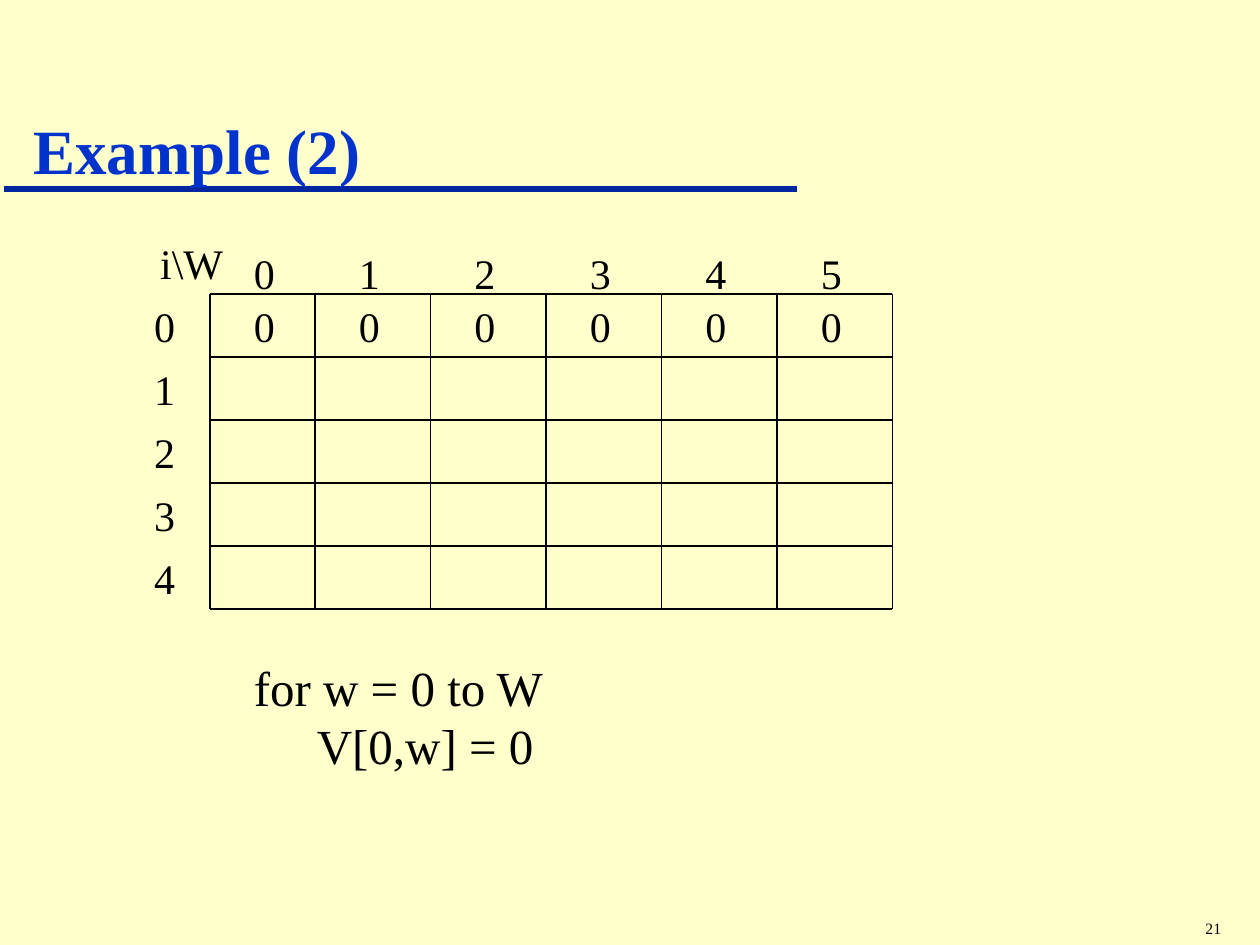
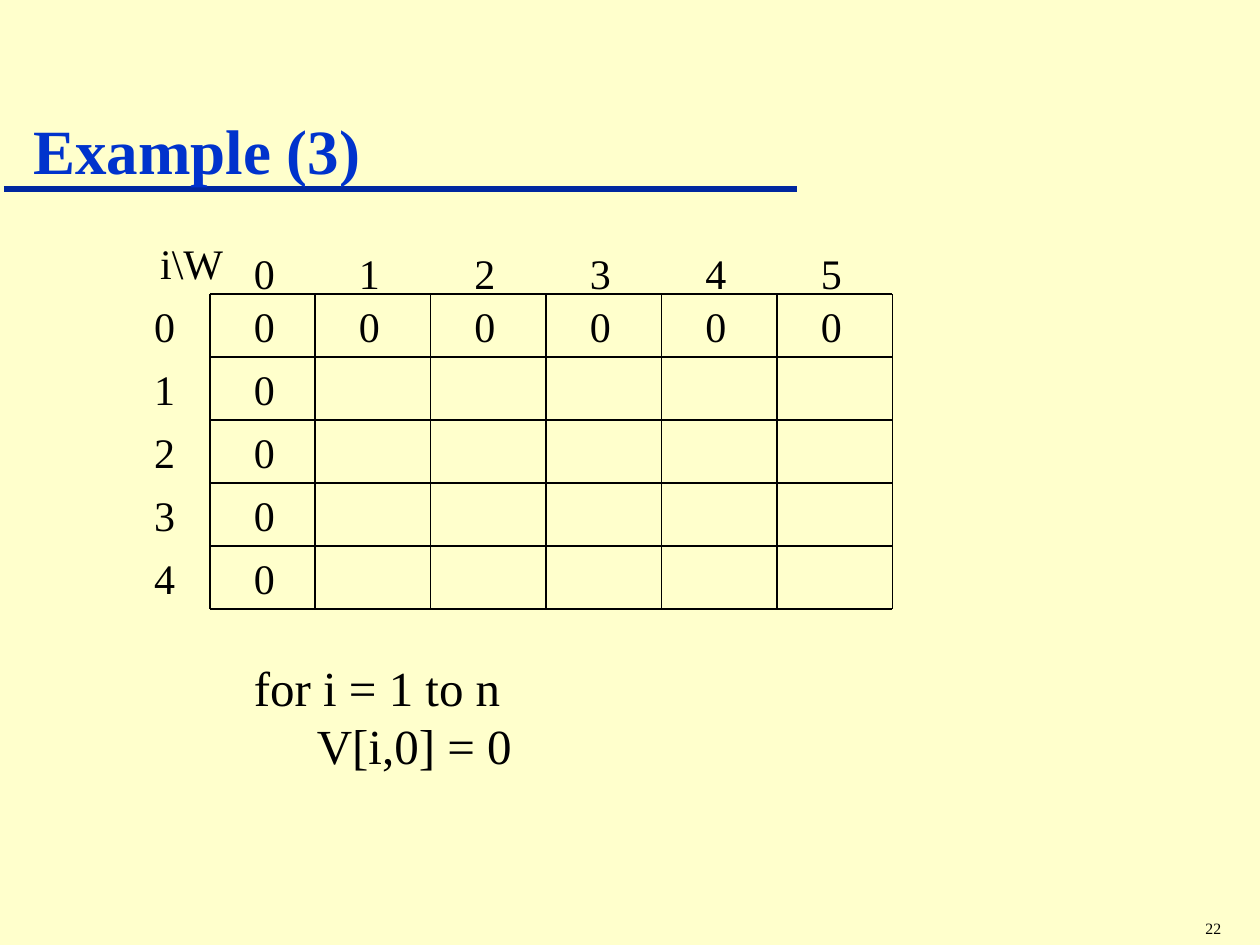
from pptx import Presentation
from pptx.dml.color import RGBColor
from pptx.enum.shapes import MSO_CONNECTOR
from pptx.enum.text import MSO_ANCHOR, MSO_AUTO_SIZE, PP_ALIGN
from pptx.oxml.ns import qn
from pptx.util import Pt
from lxml import etree

STRAIGHT = MSO_CONNECTOR.STRAIGHT
BOTTOM = MSO_ANCHOR.BOTTOM
NO_FIT = MSO_AUTO_SIZE.NONE
GROW = MSO_AUTO_SIZE.SHAPE_TO_FIT_TEXT
CENTER = PP_ALIGN.CENTER

PX = 9525  # 96 px to the inch
FONT = "Times New Roman"
CREAM, BLACK, TITLE_BLUE, RULE_BLUE = "FFFFCC", "000000", "0033CC", "00279F"

COLUMN_LINES = [160] + [240 + 88 * step for step in range(6)]
ROW_LINES = [224 + 48 * step for step in range(6)]
CELL_INDENT = 24
CELL_WIDTH, CELL_HEIGHT = 35, 48
ROW_LABEL_LEFT, COLUMN_LABEL_TOP = 108, 184


def add_text(page, frame, lines, size, color=BLACK, bold=False, wrap=False):
    """Add a text box at frame (left, top, width, height in px), one paragraph a line."""
    box = page.shapes.add_textbox(*(length * PX for length in frame))
    text = box.text_frame
    text.word_wrap = wrap
    text.auto_size = GROW
    for index, line in enumerate(lines):
        para = text.add_paragraph() if index else text.paragraphs[0]
        span = para.add_run()
        span.text = line
        span.font.name = FONT
        span.font.size = Pt(size)
        span.font.bold = bold
        span.font.color.rgb = RGBColor.from_string(color)
    return text


def add_line(page, ends, color, weight):
    """Draw a straight line; ends is (x1, y1, x2, y2) in px."""
    line = page.shapes.add_connector(STRAIGHT, *(length * PX for length in ends))
    line.line.color.rgb = RGBColor.from_string(color)
    line.line.width = Pt(weight)
    etree.SubElement(line._element.spPr, qn("a:effectLst"))


# Title, page number, loop shown, and the (row, column) cells holding 0
first_row = [(0, column) for column in range(6)]
first_column = [(row, 0) for row in range(1, 5)]
examples = [
    ("Example (2)", "21", ["for w = 0 to W", "\tV[0,w] = 0"], first_row),
    ("Example (3)", "22", ["for i = 1 to n", "\tV[i,0] = 0"], first_row + first_column),
]

deck = Presentation()
deck.slide_width = 960 * PX
deck.slide_height = 720 * PX
blank = deck.slide_layouts[6]

for title, number, loop_code, zero_cells in examples:
    page = deck.slides.add_slide(blank)
    page.background.fill.solid()
    page.background.fill.fore_color.rgb = RGBColor.from_string(CREAM)
    add_line(page, (3, 144, 607, 144), RULE_BLUE, 4)
    add_text(page, (909, 695, 69, 24), [number], 9)
    add_text(page, (184, 496, 360, 100), loop_code, 28, wrap=True)

    # Grid
    for x in COLUMN_LINES:
        add_line(page, (x, ROW_LINES[0], x, ROW_LINES[-1]), BLACK, 0.75)
    for y in ROW_LINES:
        add_line(page, (COLUMN_LINES[0], y, COLUMN_LINES[-1], y), BLACK, 0.75)

    # Row labels, column labels and filled cells
    entries = [(ROW_LABEL_LEFT, y, str(i)) for i, y in enumerate(ROW_LINES[:-1])]
    entries += [(x + CELL_INDENT, COLUMN_LABEL_TOP, str(w))
                for w, x in enumerate(COLUMN_LINES[:-1])]
    entries += [(COLUMN_LINES[column] + CELL_INDENT, ROW_LINES[row], "0")
                for row, column in zero_cells]
    for left, top, value in entries:
        add_text(page, (left, top, CELL_WIDTH, CELL_HEIGHT), [value], 24)

    corner = add_text(page, (110, 176, 72, 48), ["i\\W"], 24, wrap=True)
    corner.paragraphs[0].alignment = CENTER
    corner.paragraphs[0].space_before = Pt(15)

    heading = add_text(page, (16, 31, 624, 116), [title], 36, TITLE_BLUE, bold=True, wrap=True)
    heading.auto_size = NO_FIT
    heading.vertical_anchor = BOTTOM

deck.save("out.pptx")
